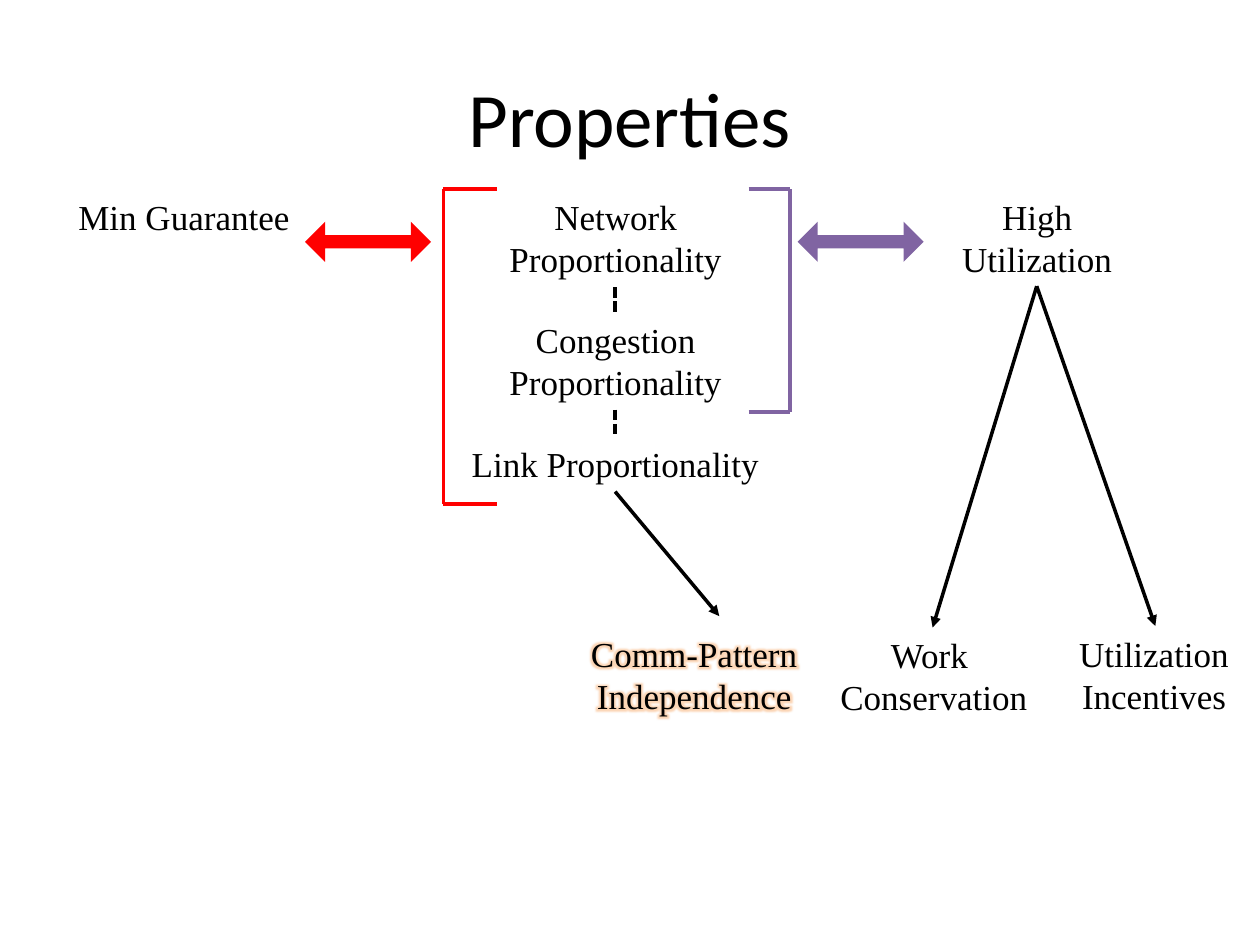
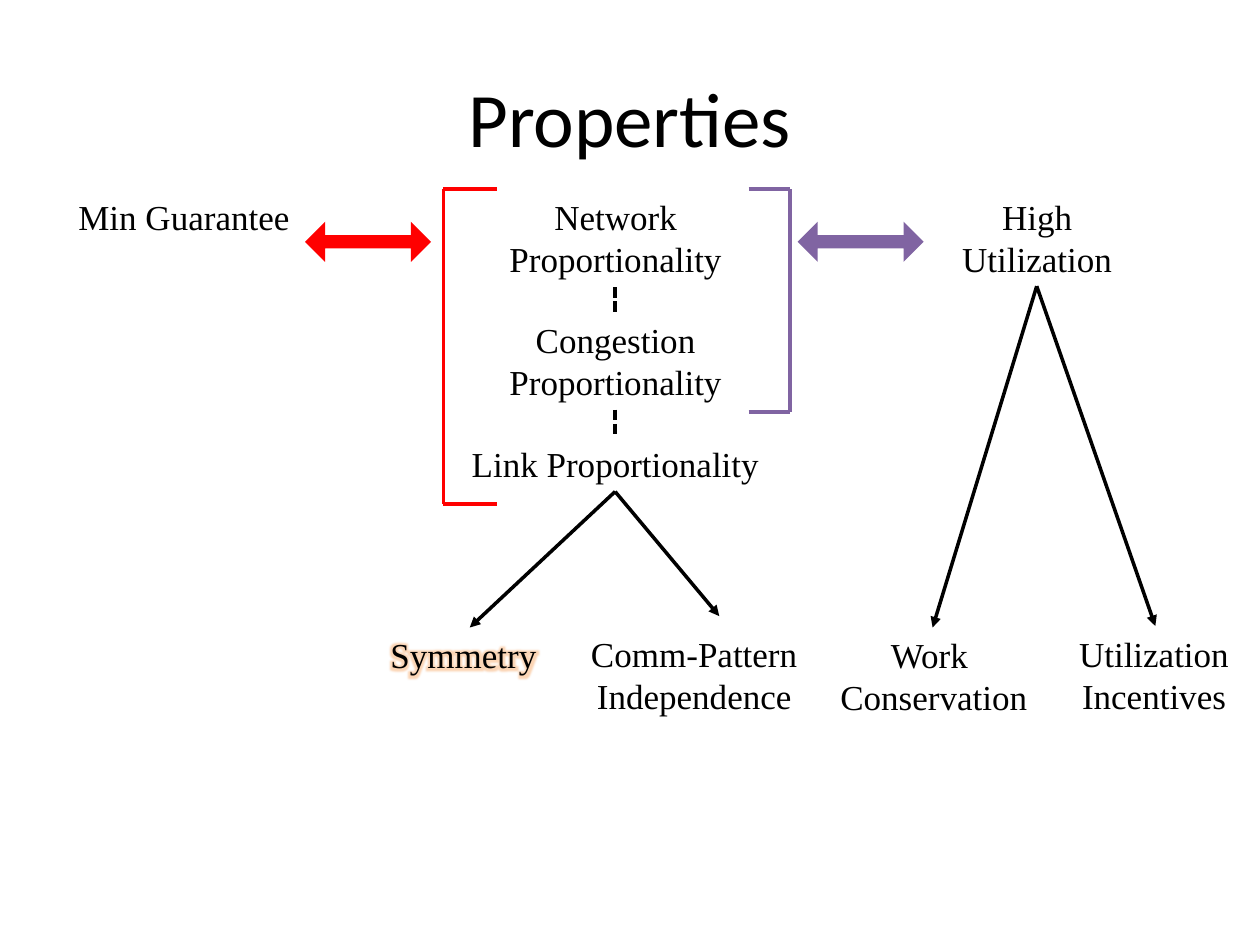
from lxml import etree
from pptx import Presentation
from pptx.dml.color import RGBColor
from pptx.enum import dml, shapes, text
from pptx.oxml.ns import qn
from pptx.util import Cm, Pt

BLACK = RGBColor(0x00, 0x00, 0x00)
RED = RGBColor(0xFF, 0x00, 0x00)
PURPLE = RGBColor(0x80, 0x64, 0xA2)
ORANGE = RGBColor(0xF7, 0x96, 0x46)

TOP = 3.81                # upper edge of the first row and of both brackets
ONE_LINE, TWO_LINES = 1.12, 1.96
LEAF_TOP = 12.62
CHAIN_X = 12.4            # axis of the three proportionality levels
LINK_FOOT = (CHAIN_X, 9.91)
UTILIZATION_FOOT = (20.9, 5.77)


def add_glow(run):
    """Put a soft orange halo around the letters of a run."""
    effects = etree.Element(qn("a:effectLst"))
    glow = etree.SubElement(effects, qn("a:glow"), rad=str(Pt(8)))
    color = etree.SubElement(glow, qn("a:srgbClr"), val=str(ORANGE))
    etree.SubElement(color, qn("a:alpha"), val="40000")
    run.font._element.find(qn("a:solidFill")).addnext(effects)


def write(frame, wording, font="Times New Roman", size=20, color=BLACK,
          align=text.PP_ALIGN.CENTER, glow=False):
    """Fill a text frame, one paragraph for each line of the wording."""
    for number, line in enumerate(wording.split("\n")):
        paragraph = frame.add_paragraph() if number else frame.paragraphs[0]
        paragraph.alignment = align
        run = paragraph.add_run()
        run.text = line
        run.font.name, run.font.size = font, Pt(size)
        run.font.color.rgb = color
        if glow:
            add_glow(run)


class Diagram:
    def __init__(self, deck):
        self.deck = deck
        self.slide = None
        self.line_width = Pt(2)

    def new_slide(self, heading):
        self.slide = self.deck.slides.add_slide(self.deck.slide_layouts[6])
        self.label(heading, 1.27, 0.76, 22.86, 3.18, font="Calibri", size=44,
                   anchor=text.MSO_ANCHOR.MIDDLE)

    def label(self, wording, left, top, width, height=TWO_LINES, wrap=True,
              anchor=text.MSO_ANCHOR.TOP, **style):
        box = self.slide.shapes.add_textbox(Cm(left), Cm(top), Cm(width), Cm(height))
        box.text_frame.word_wrap = wrap
        box.text_frame.vertical_anchor = anchor
        write(box.text_frame, wording, **style)

    def line(self, start, end, color=BLACK, dashed=False, arrow=False, parent=None):
        connector = (parent or self.slide).shapes.add_connector(
            shapes.MSO_CONNECTOR.STRAIGHT, *map(Cm, start + end))
        connector.line.color.rgb = color
        connector.line.width = self.line_width
        if dashed:
            connector.line.dash_style = dml.MSO_LINE.SQUARE_DOT
        properties = connector._element.spPr
        if arrow:
            etree.SubElement(properties.find(qn("a:ln")), qn("a:tailEnd"), type="triangle")
        etree.SubElement(properties, qn("a:effectLst"))

    def bracket(self, spine, tip, bottom, color):
        """Draw a square bracket whose arms reach from x=spine to x=tip."""
        group = self.slide.shapes.add_group_shape()
        for y in (TOP, bottom):
            self.line((tip, y), (spine, y), color, parent=group)
        self.line((spine, TOP), (spine, bottom), color, parent=group)

    def tradeoff(self, left, color):
        arrow = self.slide.shapes.add_shape(
            shapes.MSO_SHAPE.LEFT_RIGHT_ARROW, Cm(left), Cm(4.47), Cm(2.54), Cm(0.81))
        arrow.adjustments[0], arrow.adjustments[1] = 0.33, 0.5
        arrow.shadow.inherit = False
        arrow.fill.solid()
        arrow.fill.fore_color.rgb = color
        arrow.line.fill.background()

    def properties(self, highlight_pattern=False):
        """Draw everything that both steps of the build show."""
        self.new_slide("Properties")
        self.bracket(spine=8.94, tip=10.01, bottom=10.16, color=RED)
        self.bracket(spine=15.93, tip=15.09, bottom=8.31, color=PURPLE)
        self.tradeoff(6.15, RED)
        self.tradeoff(16.08, PURPLE)

        self.label("Min Guarantee", 1.27, TOP, 4.88)
        self.label("High Utilization", 18.42, TOP, 4.98)
        self.label("Network Proportionality", 8.89, TOP, 7.04)
        self.label("Congestion Proportionality", 8.89, 6.3, 7.04)
        self.label("Link Proportionality", 8.94, 8.79, 6.93, ONE_LINE)
        for upper, lower in ((5.79, 6.3), (8.26, 8.79)):
            self.line((CHAIN_X, upper), (CHAIN_X, lower), dashed=True)

        self.label("Comm-Pattern\nIndependence", 11.43, LEAF_TOP, 5.13,
                   wrap=False, glow=highlight_pattern)
        self.label("Work \nConservation", 16.31, 12.65, 5.03)
        self.label("Utilization\nIncentives", 21.41, LEAF_TOP, 3.71, wrap=False)
        self.line(LINK_FOOT, (14.5, 12.42), arrow=True)
        for leaf in ((18.8, 12.65), (23.29, LEAF_TOP)):
            self.line(UTILIZATION_FOOT, leaf, arrow=True)

    def symmetry(self):
        self.line(LINK_FOOT, (9.47, 12.65), arrow=True)
        self.label("Symmetry", 7.62, 12.65, 3.71, ONE_LINE, wrap=False,
                   align=text.PP_ALIGN.LEFT, glow=True)


def main():
    deck = Presentation()
    deck.slide_width, deck.slide_height = Cm(25.4), Cm(19.05)
    diagram = Diagram(deck)
    diagram.properties(highlight_pattern=True)
    diagram.properties()
    diagram.symmetry()
    deck.save("out.pptx")


if __name__ == "__main__":
    main()
